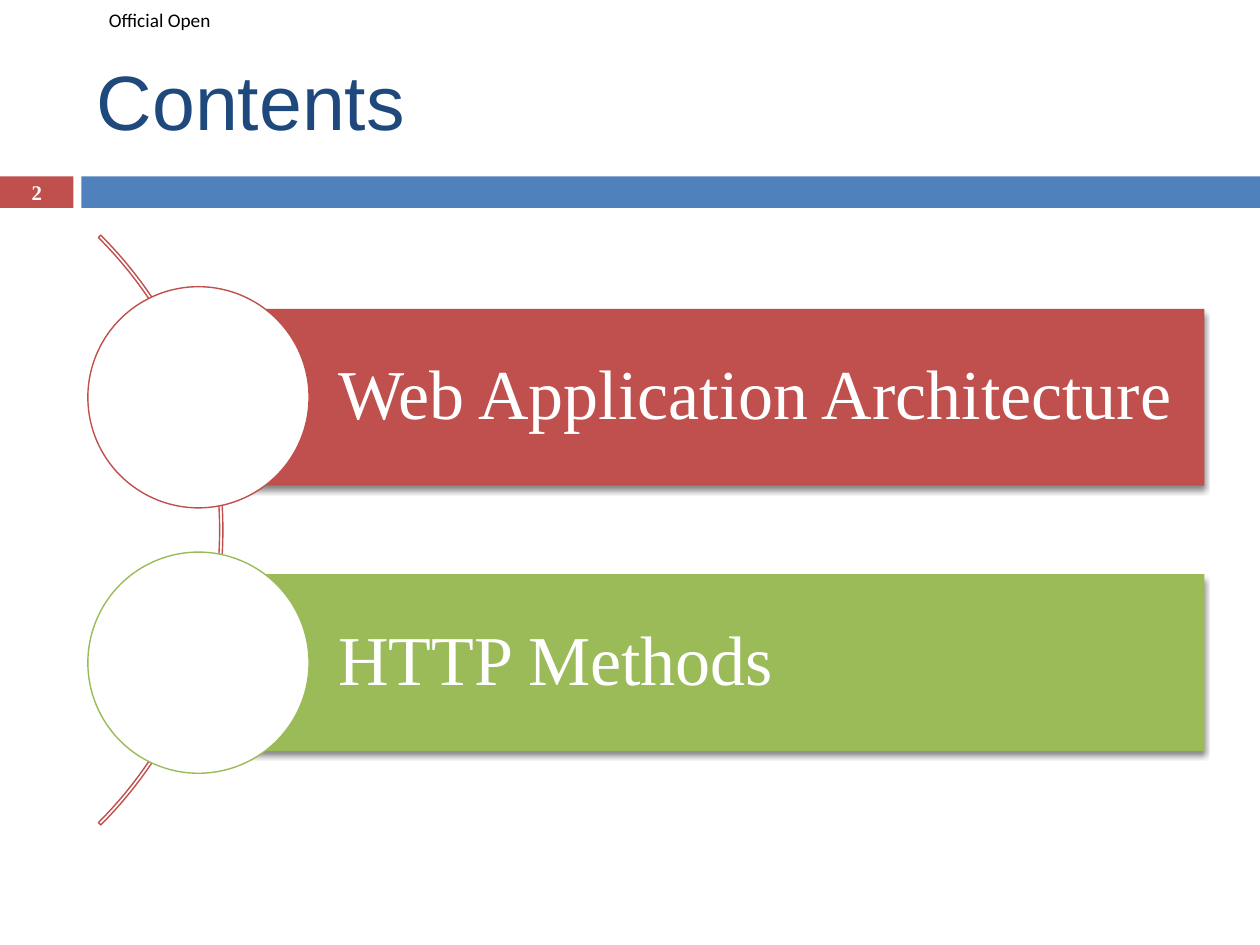
from dataclasses import dataclass

from lxml.etree import SubElement
from pptx import Presentation
from pptx.dml.color import RGBColor
from pptx.enum.shapes import MSO_SHAPE
from pptx.enum.text import MSO_ANCHOR, PP_ALIGN
from pptx.oxml.ns import qn
from pptx.util import Pt


@dataclass(frozen=True)
class Theme:
    red: str = "C0504D"
    blue: str = "4F81BD"
    green: str = "9BBB59"
    navy: str = "1F497D"
    white: str = "FFFFFF"
    black: str = "000000"
    heading_font: str = "Arial"
    label_font: str = "Calibri"
    body_font: str = "Times New Roman"
    title_size: float = 44
    topic_size: float = 40
    number_size: float = 11.9
    label_size: float = 11
    line_width: float = 0.79


THEME = Theme()
CIRCLE_SIZE = 126.4
CIRCLE_LEFT = 50.2
BAR_HEIGHT = 101.1
BAR_RIGHT = 688.3
FIRST_CENTRE = 227
TOPIC_PITCH = 151.7


def add_shape(page, kind, left, top, width, height, fill=None, line=None):
    shape = page.shapes.add_shape(kind, Pt(left), Pt(top), Pt(width), Pt(height))
    shape.shadow.inherit = False
    if fill:
        shape.fill.solid()
        shape.fill.fore_color.rgb = RGBColor.from_string(fill)
    else:
        shape.fill.background()
    if line:
        shape.line.color.rgb = RGBColor.from_string(line)
        shape.line.width = Pt(THEME.line_width)
    else:
        shape.line.fill.background()
    return shape


def write_text(shape, text, font, size, color, align=PP_ALIGN.LEFT, bold=False,
               insets=(7.2, 3.6, 7.2, 3.6)):
    """Fill a shape with one middle-anchored paragraph; insets run left, top, right, bottom."""
    frame = shape.text_frame
    frame.text = text
    frame.word_wrap = True
    frame.vertical_anchor = MSO_ANCHOR.MIDDLE
    (frame.margin_left, frame.margin_top,
     frame.margin_right, frame.margin_bottom) = map(Pt, insets)
    para = frame.paragraphs[0]
    para.alignment = align
    span = para.runs[0]
    span.font.name = font
    span.font.size = Pt(size)
    span.font.bold = bold
    span.font.color.rgb = RGBColor.from_string(color)
    return para


def add_text(page, left, top, width, height, *args, **options):
    box = page.shapes.add_textbox(Pt(left), Pt(top), Pt(width), Pt(height))
    write_text(box, *args, **options)


def add_drop_shadow(shape):
    effects = shape._element.spPr.find(qn("a:effectLst"))
    shadow = SubElement(effects, qn("a:outerShdw"), blurRad=str(Pt(3)),
                        dist=str(Pt(2.4)), dir="5400000", rotWithShape="0")
    color = SubElement(shadow, qn("a:srgbClr"), val=THEME.black)
    SubElement(color, qn("a:alpha"), val="45000")


def add_header(page):
    add_shape(page, MSO_SHAPE.RECTANGLE, 0, 100.8, 42, 18, THEME.red)
    add_shape(page, MSO_SHAPE.RECTANGLE, 46.5, 100.8, 673.5, 18, THEME.blue)
    add_text(page, 62.2, 0, 71, 22.3, "Official Open", THEME.label_font,
             THEME.label_size, THEME.black, insets=(0, 0, 0, 0))
    add_text(page, 48.2, 18, 642, 78, "Contents", THEME.heading_font,
             THEME.title_size, THEME.navy)
    add_text(page, 0, 100.1, 42, 19.4, "2", THEME.body_font, THEME.number_size,
             THEME.white, align=PP_ALIGN.CENTER, bold=True)


def add_arc(page):
    arc = add_shape(page, MSO_SHAPE.BLOCK_ARC, -349.2, 64.6, 476.6, 476.6, line=THEME.red)
    for index, value in enumerate((189, 27, 0.004)):
        arc.adjustments[index] = value


def add_topic(page, centre, text, color):
    """Add a labelled bar that starts at the middle of its circle."""
    bar_left = CIRCLE_LEFT + CIRCLE_SIZE / 2
    bar = add_shape(page, MSO_SHAPE.RECTANGLE, bar_left, centre - BAR_HEIGHT / 2,
                    BAR_RIGHT - bar_left, BAR_HEIGHT, color)
    add_drop_shadow(bar)
    para = write_text(bar, text, THEME.body_font, THEME.topic_size, THEME.white,
                      insets=(80, 8, 8, 8))
    para.line_spacing = 0.9
    add_shape(page, MSO_SHAPE.OVAL, CIRCLE_LEFT, centre - CIRCLE_SIZE / 2,
              CIRCLE_SIZE, CIRCLE_SIZE, THEME.white, color)


def main():
    deck = Presentation()
    deck.slide_width, deck.slide_height = Pt(720), Pt(540)
    page = deck.slides.add_slide(deck.slide_layouts[6])
    add_header(page)
    add_arc(page)
    topics = (("Web Application Architecture", THEME.red), ("HTTP Methods", THEME.green))
    for row, (text, color) in enumerate(topics):
        add_topic(page, FIRST_CENTRE + row * TOPIC_PITCH, text, color)
    deck.save("out.pptx")


if __name__ == "__main__":
    main()
